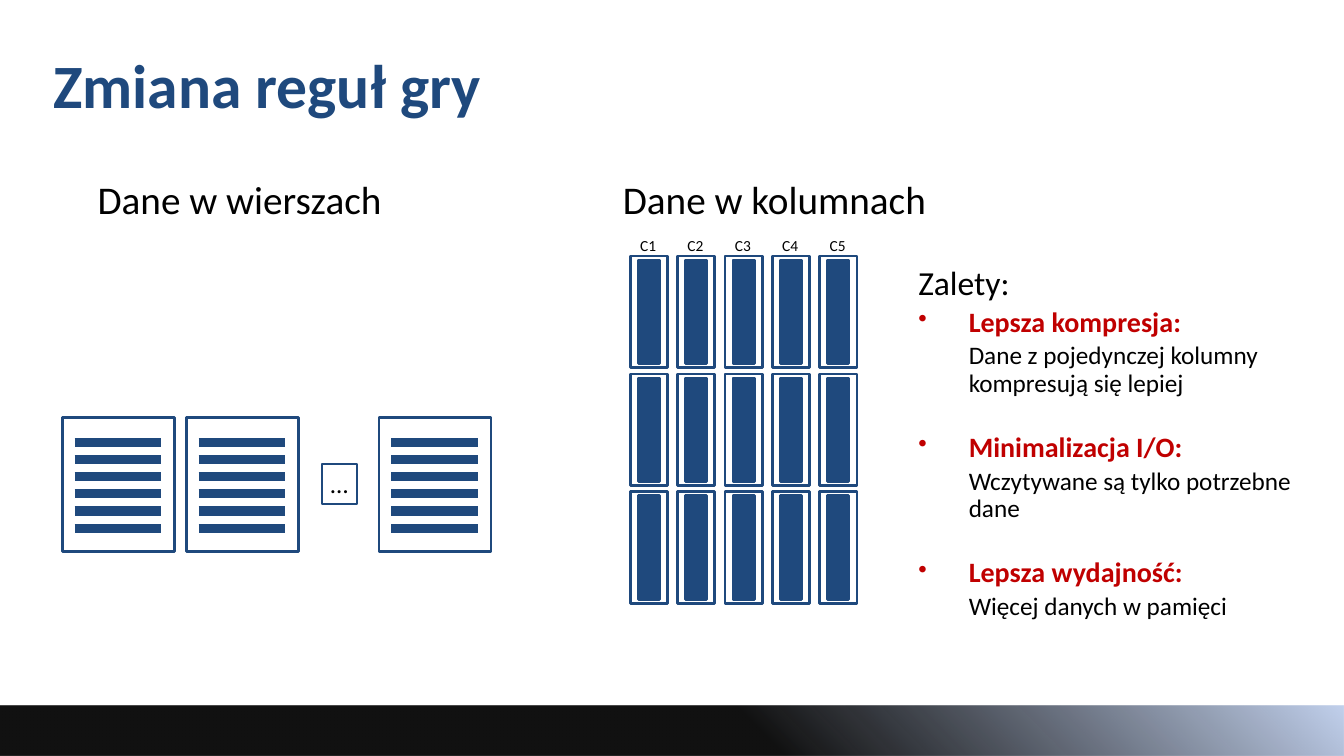
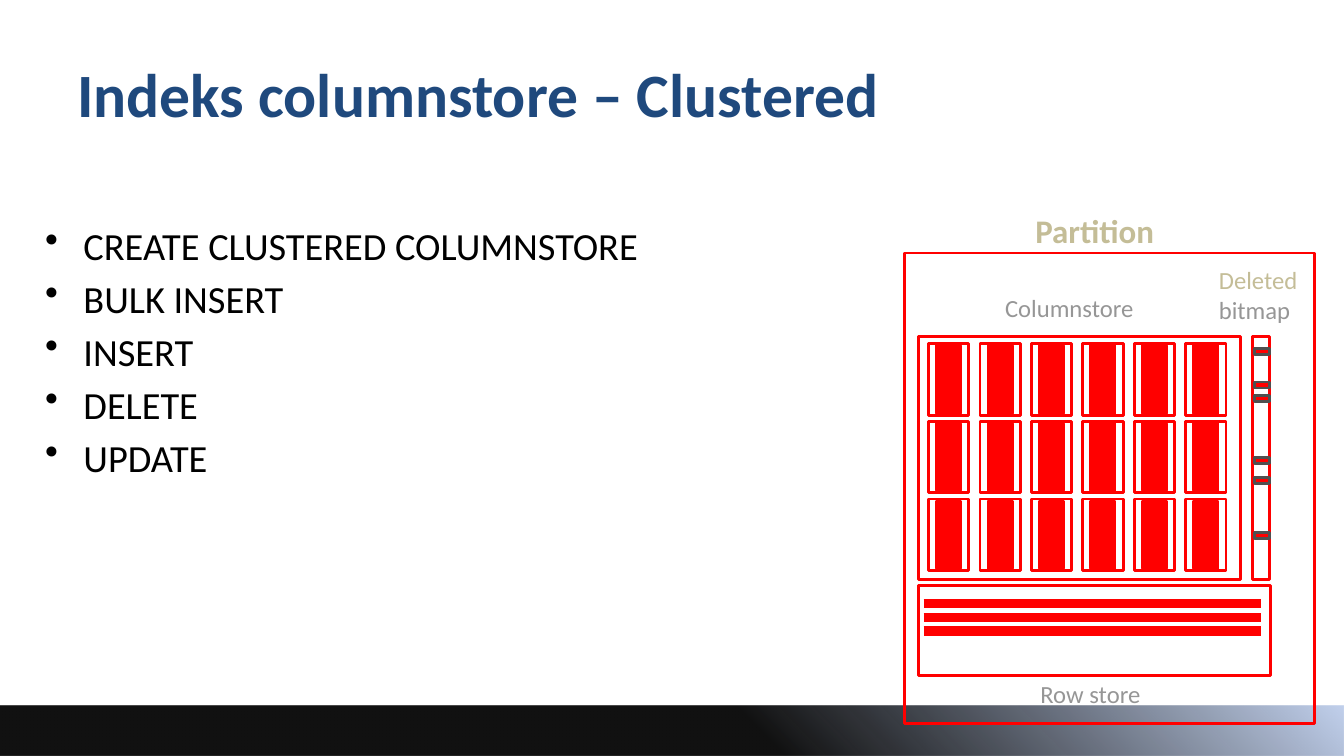
from pptx import Presentation
from pptx.dml.color import RGBColor
from pptx.enum.shapes import MSO_CONNECTOR, MSO_SHAPE
from pptx.enum.text import MSO_ANCHOR, PP_ALIGN
from pptx.oxml import parse_xml
from pptx.oxml.ns import nsdecls, qn
from pptx.util import Inches, Pt
from lxml.etree import SubElement

COLORS = {
    "navy": "1F497D", "red": "FF0000", "crimson": "C00000", "black": "000000",
    "white": "FFFFFF", "gray": "969696", "dark gray": "505050", "tan": "C4BD97",
}
FONT = "Calibri"
SLIDE_WIDTH, SLIDE_HEIGHT = 13.33, 7.5

# Gradient stops: position %, colour, opacity %
TOP_BAND = [(0, "DCE6F2", 41), (0, "C6D9F1", 100), (100, "E1E8F5", 16)]
BOTTOM_BAND = [(56, "000000", 93), (100, "C2D1ED", 100), (100, "E1E8F5", 16)]

TITLE = {"size": 44, "bold": True, "color": "navy"}
HEADING = {"size": 28, "line_spacing": 0.9}
COLUMN_LABEL = {"size": 11}
LEAD = {"size": 24, "line_spacing": 0.9}
BENEFIT = {"size": 20, "bold": True, "color": "crimson", "line_spacing": 0.9,
           "margin": 0.5, "bullet_size": 90}
DETAIL = {"size": 18, "line_spacing": 0.9, "space_before": 3.6, "margin": 0.5}
COMMAND = {"size": 27.4, "margin": 0.38, "bullet_size": 100}
CAPTION = {"size": 17.6, "color": "gray"}


def rgb(name):
    return RGBColor.from_string(COLORS[name])


def set_indent(paragraph, margin, bullet_size):
    """Indent a paragraph; with a bullet size, hang a bullet in the margin."""
    properties = paragraph._p.get_or_add_pPr()
    properties.set("marL", str(Inches(margin)))
    properties.set("indent", str(-Inches(margin) if bullet_size else 0))
    if bullet_size:
        SubElement(properties, qn("a:buSzPct")).set("val", str(bullet_size * 1000))
        SubElement(properties, qn("a:buChar")).set("char", "•")


def write_text(text_frame, lines):
    """Fill a frame with (text, format) pairs, one paragraph each."""
    for index, (text, style) in enumerate(lines):
        paragraph = text_frame.paragraphs[0] if index == 0 else text_frame.add_paragraph()
        if "margin" in style:
            set_indent(paragraph, style["margin"], style.get("bullet_size"))
        for name in ("line_spacing", "alignment"):
            if name in style:
                setattr(paragraph, name, style[name])
        if index and "space_before" in style:
            paragraph.space_before = Pt(style["space_before"])
        run = paragraph.add_run()
        run.text = text
        font_values = {"name": FONT, "size": Pt(style["size"]),
                       "bold": style.get("bold", False)}
        for name, value in font_values.items():
            setattr(run.font, name, value)
        run.font.color.rgb = rgb(style.get("color", "black"))


def add_text(slide, box, lines, anchor=MSO_ANCHOR.TOP, wrap=True):
    text_frame = slide.shapes.add_textbox(*map(Inches, box)).text_frame
    text_frame.word_wrap = wrap
    text_frame.vertical_anchor = anchor
    write_text(text_frame, lines)


def add_box(slide, box, line=None, fill=None, width=2):
    shape = slide.shapes.add_shape(MSO_SHAPE.RECTANGLE, *map(Inches, box))
    shape.shadow.inherit = False
    if fill:
        shape.fill.solid()
        shape.fill.fore_color.rgb = rgb(fill)
    else:
        shape.fill.background()
    if line:
        shape.line.color.rgb = rgb(line)
        shape.line.width = Pt(width)
    else:
        shape.line.fill.background()
    return shape


def add_band(slide, box, stops, angle):
    """Borderless strip with a partly transparent gradient."""
    properties = add_box(slide, box)._element.spPr
    stop_xml = "".join(
        f'<a:gs pos="{position * 1000}"><a:srgbClr val="{color}">'
        f'<a:alpha val="{opacity * 1000}"/></a:srgbClr></a:gs>'
        for position, color, opacity in stops)
    gradient = parse_xml(
        f'<a:gradFill {nsdecls("a")} rotWithShape="1"><a:gsLst>{stop_xml}</a:gsLst>'
        f'<a:lin ang="{angle * 60000}" scaled="0"/></a:gradFill>')
    properties.replace(properties.find(qn("a:noFill")), gradient)


def add_rows(slide, left, top, length, count, pitch, color):
    """Thick, evenly spaced lines standing for table rows."""
    for row in range(count):
        y = Inches(top + row * pitch)
        connector = slide.shapes.add_connector(
            MSO_CONNECTOR.STRAIGHT, Inches(left), y, Inches(left + length), y)
        connector.line.color.rgb = rgb(color)
        connector.line.width = Pt(6.5)
        SubElement(connector._element.spPr, qn("a:effectLst"))


def add_segments(slide, origin, grid, pitch, size, inset, color):
    """Grid of column segments: a filled bar inside each frame."""
    (left, top), (columns, rows) = origin, grid
    (width, height), (inset_x, inset_y) = size, inset
    for column in range(columns):
        for row in range(rows):
            x, y = left + column * pitch[0], top + row * pitch[1]
            bar = (x + inset_x, y + inset_y, width - 2 * inset_x, height - 2 * inset_y)
            add_box(slide, bar, color, fill=color)
            add_box(slide, (x, y, width, height), color)


def add_base_slide(presentation, title, title_box):
    slide = presentation.slides.add_slide(presentation.slide_layouts[6])
    add_band(slide, (0, 0, SLIDE_WIDTH, 0.94), TOP_BAND, 90)
    add_band(slide, (0, 7, SLIDE_WIDTH, 0.5), BOTTOM_BAND, 315)
    add_text(slide, title_box, [(title, TITLE)], MSO_ANCHOR.MIDDLE)
    return slide


def add_row_pages(slide, left, top):
    """Pages of rows with an ellipsis before the last one."""
    for offset in (0, 1.23, 3.14):
        add_box(slide, (left + offset, top, 1.11, 1.33), "navy")
        add_rows(slide, left + offset + 0.12, top + 0.25, 0.86, 6, 0.17, "navy")
    ellipsis = add_box(slide, (left + 2.57, top + 0.46, 0.35, 0.4), "navy", width=1.5)
    ellipsis.text_frame.word_wrap = False
    write_text(ellipsis.text_frame, [("…", {"size": 18, "alignment": PP_ALIGN.CENTER})])


def add_column_pages(slide, left, top):
    """Labelled columns C1 to C5, split into three segments."""
    pitch = 0.47
    for column in range(5):
        label_box = (left + column * pitch, top, 0.4, 0.29)
        add_text(slide, label_box, [(f"C{column + 1}", COLUMN_LABEL)], wrap=False)
    add_segments(slide, (left, top + 0.25), (5, 3), (pitch, 1.17),
                 (0.37, 1.11), (0.08, 0.04), "navy")


def add_benefits(slide, box, lead, benefits):
    lines = [(lead, LEAD)]
    for index, (name, detail) in enumerate(benefits):
        gap = 25.5 if index else 4
        lines += [(name, {**BENEFIT, "space_before": gap}), (detail, DETAIL)]
    add_text(slide, box, lines)


def add_partition(slide, left, top):
    """Partition frame with columnstore, deleted bitmap and row store."""
    def place(x, y, width, height):
        return left + x, top + y, width, height

    # Row store
    add_box(slide, place(0.14, 3.3, 3.49, 0.89), "red", fill="white")
    add_rows(slide, left + 0.19, top + 3.48, 3.35, 3, 0.135, "red")

    # Columnstore
    add_box(slide, place(0.14, 0.83, 3.19, 2.41), "red")
    add_segments(slide, (left + 0.24, top + 0.9), (6, 3), (0.51, 0.77),
                 (0.4, 0.71), (0.08, 0.02), "red")

    # Deleted bitmap
    add_box(slide, place(3.45, 0.83, 0.17, 2.41), "red")
    for mark in (0.95, 1.28, 1.41, 2.03, 2.23, 2.77):
        add_box(slide, place(3.47, mark, 0.15, 0.06), "dark gray", fill="red")

    # Frame and captions
    add_box(slide, place(0, 0, 4.07, 4.67), "red")
    captions = [
        (place(1.2, -0.47, 1.64, 0.49),
         [("Partition", {"size": 23.5, "bold": True, "color": "tan"})]),
        (place(0.9, 0.35, 1.7, 0.4), [("Columnstore", CAPTION)]),
        (place(3.02, 0.07, 1.05, 0.69),
         [("Deleted", {**CAPTION, "color": "tan"}), ("bitmap", CAPTION)]),
        (place(1.25, 4.18, 1.37, 0.4), [("Row store", CAPTION)]),
    ]
    for box, lines in captions:
        add_text(slide, box, lines)


def build_rules_slide(presentation):
    slide = add_base_slide(presentation, "Zmiana reguł gry", (0.43, 0.3, 12.53, 1.07))
    add_text(slide, (0.87, 1.74, 4.25, 0.48), [("Dane w wierszach", HEADING)])
    add_text(slide, (6.08, 1.74, 5.03, 0.48), [("Dane w kolumnach", HEADING)])
    add_row_pages(slide, 0.62, 4.14)
    add_column_pages(slide, 6.25, 2.29)
    add_benefits(slide, (9.01, 2.59, 4.19, 3.6), "Zalety:", [
        ("Lepsza kompresja:", "Dane z pojedynczej kolumny kompresują się lepiej"),
        ("Minimalizacja I/O:", "Wczytywane są tylko potrzebne dane"),
        ("Lepsza wydajność:", "Więcej danych w pamięci"),
    ])


def build_clustered_slide(presentation):
    slide = add_base_slide(presentation, "Indeks columnstore – Clustered",
                           (0.67, 0.3, 12, 1.25))
    commands = ["CREATE CLUSTERED COLUMNSTORE", "BULK INSERT", "INSERT", "DELETE", "UPDATE"]
    style = {**COMMAND, "space_before": 5}
    add_text(slide, (0.35, 2.15, 8.5, 4.8), [(command, style) for command in commands])
    add_partition(slide, 8.97, 2.51)


def main():
    presentation = Presentation()
    presentation.slide_width = Inches(SLIDE_WIDTH)
    presentation.slide_height = Inches(SLIDE_HEIGHT)
    build_rules_slide(presentation)
    build_clustered_slide(presentation)
    presentation.save("out.pptx")


if __name__ == "__main__":
    main()
